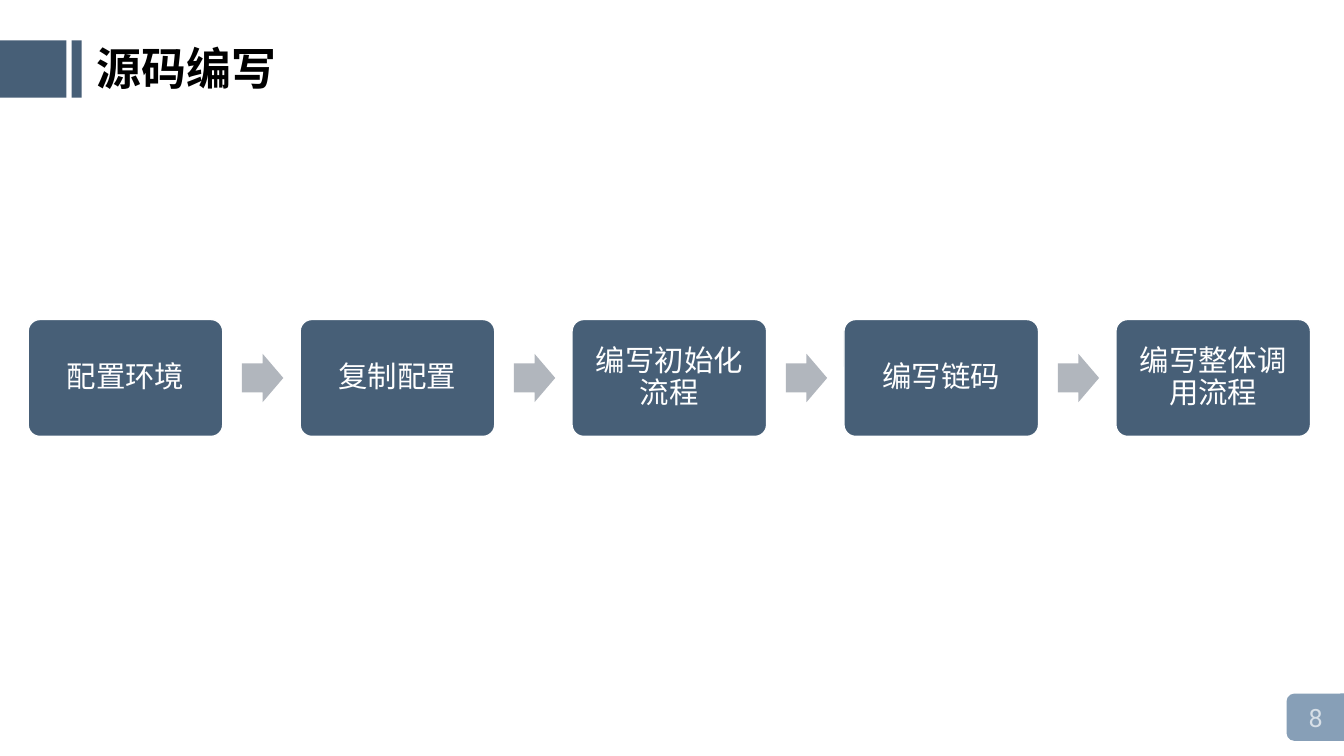
from typing import NamedTuple

from lxml import etree
from pptx import Presentation
from pptx.dml.color import RGBColor
from pptx.enum.lang import MSO_LANGUAGE_ID
from pptx.enum.shapes import MSO_SHAPE
from pptx.enum.text import MSO_ANCHOR, MSO_AUTO_SIZE, PP_ALIGN
from pptx.oxml.ns import qn
from pptx.util import Inches, Pt

RECTANGLE = MSO_SHAPE.RECTANGLE
ROUNDED = MSO_SHAPE.ROUNDED_RECTANGLE
ROUNDED_TOP = MSO_SHAPE.ROUND_2_SAME_RECTANGLE
ARROW = MSO_SHAPE.RIGHT_ARROW
MIDDLE = MSO_ANCHOR.MIDDLE
CENTER = PP_ALIGN.CENTER
GROW = MSO_AUTO_SIZE.SHAPE_TO_FIT_TEXT
CHINESE = MSO_LANGUAGE_ID.SIMPLIFIED_CHINESE

FONT = "Roboto"
NAVY = "475F77"
WHITE = "FFFFFF"

STEP_LEFT = 0.28
STEP_PITCH = 2.697
ARROW_OFFSET = 2.12
STEP_INSET = Inches(0.09)


class Block(NamedTuple):
    kind: MSO_SHAPE
    left: float
    top: float
    width: float
    height: float
    fill: str
    adjustments: tuple[float, ...] = ()
    rotation: float = 0


class Label(NamedTuple):
    text: str
    left: float
    top: float
    width: float
    height: float
    size: float
    color: str
    bold: bool = False


DECORATIONS = [
    Block(ROUNDED_TOP, 12.82, 6.82, 0.47, 0.59, "879FB7", rotation=270),
    Block(RECTANGLE, 0, 0.4, 0.66, 0.57, NAVY),
    Block(RECTANGLE, 0.71, 0.4, 0.1, 0.57, NAVY),
]
LABELS = [
    Label("8", 12.88, 6.92, 0.33, 0.4, 18, "D7DFE7"),
    Label("源码编写", 0.86, 0.36, 2, 0.64, 32, "000000", True),
]
STEPS = ["配置环境", "复制配置", "编写初始化流程", "编写链码", "编写整体调用流程"]


def rgb(value: str) -> RGBColor:
    return RGBColor.from_string(value)


def add_run(paragraph, text: str, size: float, color: str, bold: bool = False) -> None:
    run = paragraph.add_run()
    run.text = text
    font = run.font
    font.size = Pt(size)
    font.bold = bold
    font.color.rgb = rgb(color)
    font.name = FONT
    font.language_id = CHINESE
    # East Asian typeface
    etree.SubElement(run._r.get_or_add_rPr(), qn("a:ea"), typeface=FONT)


def add_block(slide, block: Block):
    shape = slide.shapes.add_shape(
        block.kind, Inches(block.left), Inches(block.top),
        Inches(block.width), Inches(block.height),
    )
    shape.shadow.inherit = False
    shape.rotation = block.rotation
    shape.fill.solid()
    shape.fill.fore_color.rgb = rgb(block.fill)
    shape.line.fill.background()
    for index, value in enumerate(block.adjustments):
        shape.adjustments[index] = value
    return shape


def add_label(slide, label: Label) -> None:
    box = slide.shapes.add_textbox(
        Inches(label.left), Inches(label.top),
        Inches(label.width), Inches(label.height),
    )
    frame = box.text_frame
    frame.word_wrap = False
    frame.auto_size = GROW
    add_run(frame.paragraphs[0], label.text, label.size, label.color, label.bold)


def add_step(slide, left: float, text: str) -> None:
    step = add_block(slide, Block(ROUNDED, left, 3.17, 1.93, 1.16, NAVY, (0.1,)))
    step.line.color.rgb = rgb(WHITE)
    step.line.width = Pt(1)
    frame = step.text_frame
    frame.word_wrap = True
    frame.vertical_anchor = MIDDLE
    frame.margin_left = frame.margin_right = STEP_INSET
    frame.margin_top = frame.margin_bottom = STEP_INSET
    paragraph = frame.paragraphs[0]
    paragraph.alignment = CENTER
    paragraph.line_spacing = 0.9
    add_run(paragraph, text, 21, WHITE)


def main() -> None:
    presentation = Presentation()
    presentation.slide_width = Inches(13.33)
    presentation.slide_height = Inches(7.5)
    slide = presentation.slides.add_slide(presentation.slide_layouts[6])

    # Title bars and page number
    for decoration in DECORATIONS:
        add_block(slide, decoration)
    for label in LABELS:
        add_label(slide, label)

    # Process steps, with an arrow between neighbours
    for index, text in enumerate(STEPS):
        left = STEP_LEFT + index * STEP_PITCH
        add_step(slide, left, text)
        if index < len(STEPS) - 1:
            add_block(slide, Block(ARROW, left + ARROW_OFFSET, 3.51, 0.41, 0.48,
                                   "B1B6BD", (0.6, 0.5)))

    presentation.save("out.pptx")


if __name__ == "__main__":
    main()
